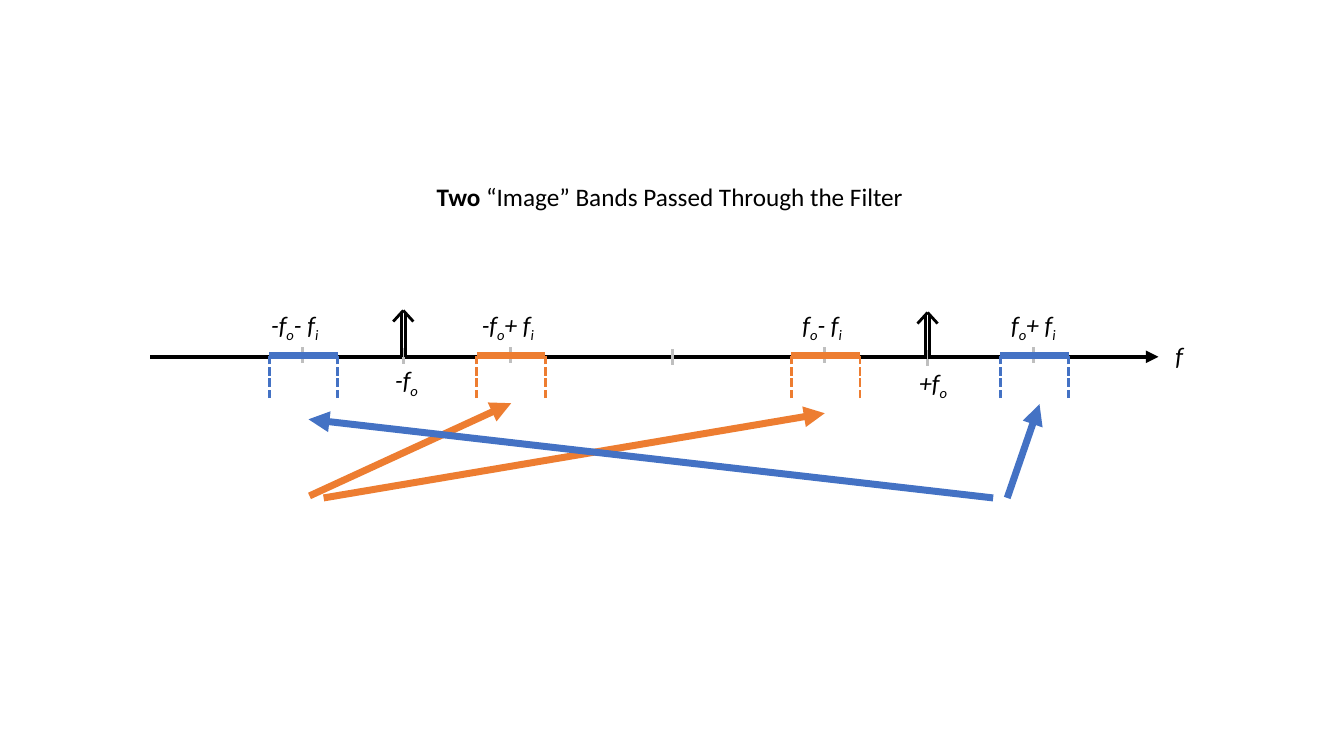
"""Draw a frequency axis with the image bands that pass through the filter."""
from lxml import etree
from pptx import Presentation
from pptx.dml.color import RGBColor
from pptx.enum import dml, shapes, text
from pptx.oxml import ns
from pptx.util import Inches, Pt

BLACK, GREY, BLUE, ORANGE = "000000", "BFBFBF", "4472C4", "ED7D31"

presentation = Presentation()
presentation.slide_width = Inches(13.33)
presentation.slide_height = Inches(7.5)
slide = presentation.slides.add_slide(presentation.slide_layouts[5])


def add_line(start, end, color, width=2, dashed=False, arrow=False):
    connector = slide.shapes.add_connector(
        shapes.MSO_CONNECTOR.STRAIGHT, *[Inches(value) for value in (*start, *end)])
    connector.line.color.rgb = RGBColor.from_string(color)
    connector.line.width = Pt(width)
    if dashed:
        connector.line.dash_style = dml.MSO_LINE.SQUARE_DOT
    if arrow:
        line = connector.line._get_or_add_ln()
        etree.SubElement(line, ns.qn("a:tailEnd"), type="triangle")
    etree.SubElement(connector._element.spPr, ns.qn("a:effectLst"))


def add_text(content, left, top, width, shape=None, bold_lead="", italic=True, wrap=True):
    """Write text in which every second part between underscores is a subscript."""
    box = [Inches(value) for value in (left, top, width, 0.4)]
    if shape is None:
        shape = slide.shapes.add_textbox(*box)
    shape.left, shape.top, shape.width, shape.height = box
    frame = shape.text_frame
    frame.word_wrap = wrap
    frame.auto_size = text.MSO_AUTO_SIZE.SHAPE_TO_FIT_TEXT
    frame.vertical_anchor = text.MSO_ANCHOR.TOP
    paragraph = frame.paragraphs[0]
    paragraph.alignment = text.PP_ALIGN.LEFT
    parts = [(bold_lead, True, False)] if bold_lead else []
    parts += [(part, False, index % 2 == 1) for index, part in enumerate(content.split("_"))]
    for part, bold, subscript in parts:
        run = paragraph.add_run()
        run.text = part
        run.font.name = "Calibri"
        run.font.size = Pt(18)
        run.font.bold = bold
        run.font.italic = italic
        run.font.color.rgb = RGBColor.from_string(BLACK)
        if subscript:
            run._r.get_or_add_rPr().set("baseline", "-25000")


add_text(" “Image” Bands Passed Through the Filter", 4.23, 1.75, 4.86,
         shape=slide.shapes.title, bold_lead="Two", italic=False, wrap=False)

add_line((1.49, 3.54), (11.49, 3.54), BLACK, width=3, arrow=True)
add_text("f", 11.56, 3.33, 0.28)

for label, center, top, label_width in [("-f_o", 4, 3.08, 0.44), ("+f_o", 9.2, 3.1, 0.49)]:
    add_line((center, top + 0.53), (center, top + 0.37), GREY)
    add_text(label, center - 0.18, top + 0.49, label_width, wrap=False)
    for side in (-1, 1):
        shaft = center + side * 0.02
        add_line((shaft, top + 0.46), (shaft, top + 0.03), BLACK)
        add_line((center + side * 0.1, top + 0.11), (center, top), BLACK)

add_line((6.67, 3.62), (6.67, 3.46), GREY)

bands = [
    ("f_o_+ f_i", 9.92, BLUE, 9.93, 0.68),
    ("f_o_- f_i", 7.85, ORANGE, 7.86, 0.68),
    ("-f_o_- f_i", 2.67, BLUE, 2.59, 0.77),
    ("-f_o_+ f_i", 4.73, ORANGE, 4.68, 0.79),
]
for label, left, color, label_left, label_width in bands:
    right = left + 0.68
    center = left + 0.33
    for edge in (right, left):
        add_line((edge, 3.95), (edge, 3.51), color, dashed=True)
    add_line((center, 3.6), (center, 3.44), GREY)
    add_text(label, label_left, 3.02, label_width)
    add_line((left, 3.53), (right, 3.53), color, width=5)

for start, end, color in [
    ((3.21, 4.94), (8.18, 4.1), ORANGE),
    ((3.07, 4.92), (5.07, 4), ORANGE),
    ((9.85, 4.94), (3.06, 4.16), BLUE),
    ((9.99, 4.94), (10.31, 4.01), BLUE),
]:
    add_line(start, end, color, width=5, arrow=True)

presentation.save("out.pptx")
